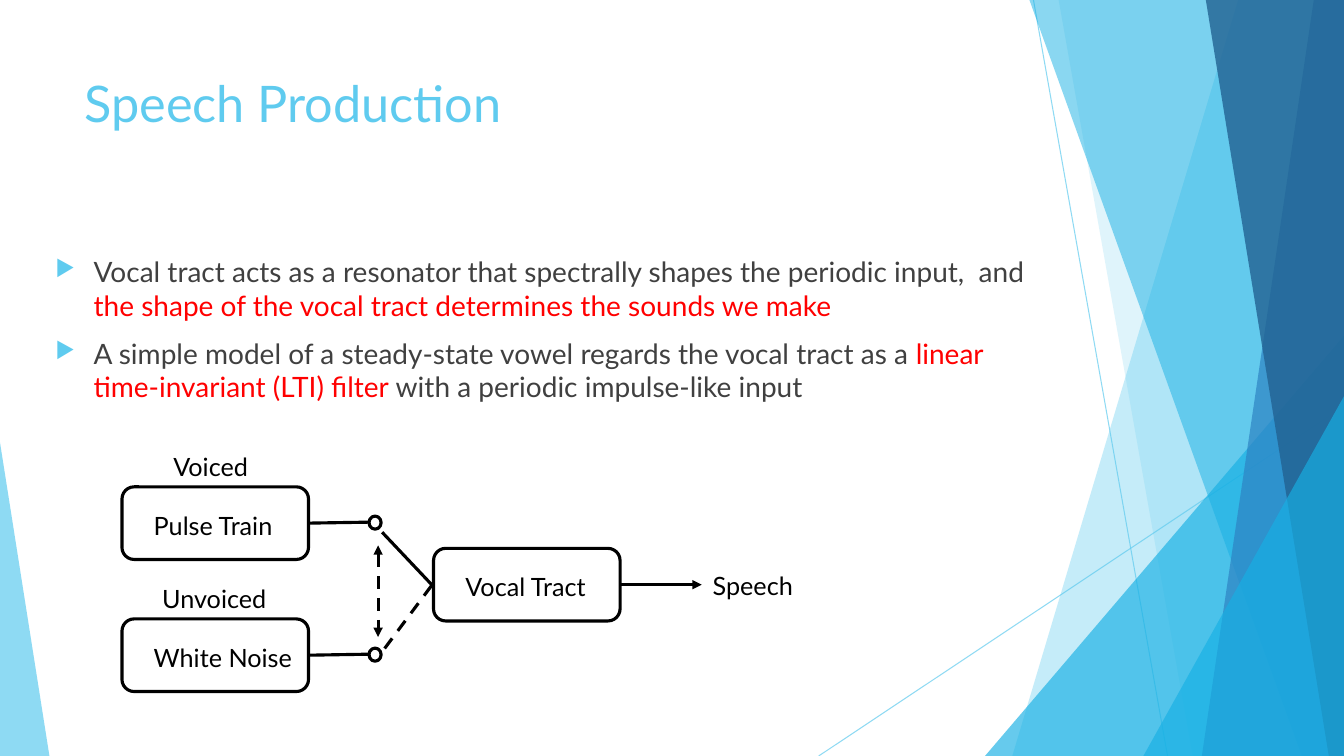
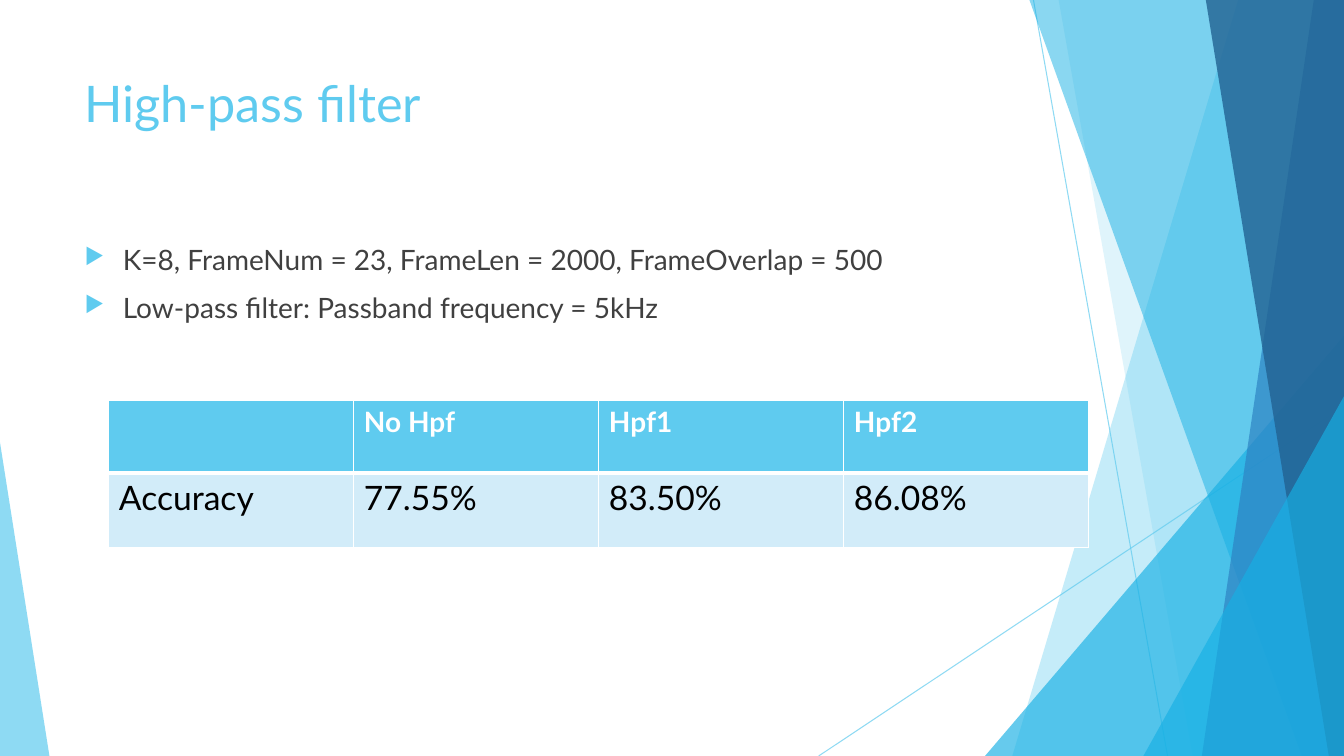
from lxml import etree
from pptx import Presentation
from pptx.dml.color import RGBColor
from pptx.enum import dml, shapes, text
from pptx.oxml.ns import qn
from pptx.util import Inches, Pt

SKY = RGBColor(0x5F, 0xCB, 0xEF)
CYAN = RGBColor(0x17, 0xB0, 0xE4)
BLUE = RGBColor(0x2E, 0x83, 0xC3)
NAVY = RGBColor(0x22, 0x62, 0x92)
PALE = RGBColor(0xD2, 0xEC, 0xF9)
GREY = RGBColor(0x40, 0x40, 0x40)
RED = RGBColor(0xFF, 0x00, 0x00)
BLACK = RGBColor(0x00, 0x00, 0x00)
WHITE = RGBColor(0xFF, 0xFF, 0xFF)

FONT = "Lato"
WIDTH, HEIGHT = 13.33, 7.5
LINE_WIDTH = 2.25


def child(parent, tag, **attributes):
    return etree.SubElement(parent, qn(tag), attributes)


def set_opacity(shape, percent):
    for color in shape.element.iter(qn("a:srgbClr")):
        child(color, "a:alpha", val=str(percent * 1000))


def set_font(paragraph, size, color, bold=False):
    font = paragraph.font
    font.name, font.size, font.bold = FONT, Pt(size), bold
    font.color.rgb = color


def add_line(slide, start, end, color=BLACK, width=LINE_WIDTH, opacity=None,
             dashed=False, arrows=()):
    """Draw a straight line; arrows lists its ends: "head" (start), "tail" (end)."""
    ends = [Inches(v) for v in (*start, *end)]
    line = slide.shapes.add_connector(shapes.MSO_CONNECTOR.STRAIGHT, *ends)
    line.line.color.rgb = color
    line.line.width = Pt(width)
    if dashed:
        line.line.dash_style = dml.MSO_LINE.DASH
    if opacity:
        set_opacity(line, opacity)
    stroke = line.element.spPr.find(qn("a:ln"))
    for end_name in arrows:
        child(stroke, f"a:{end_name}End", type="triangle")
    child(line.element.spPr, "a:effectLst")


def fill_facet(facet, color, opacity):
    facet.shadow.inherit = False
    facet.fill.solid()
    facet.fill.fore_color.rgb = color
    facet.line.fill.background()
    set_opacity(facet, opacity)


def add_band(slide, top_x, bottom_x, color, opacity):
    """Fill from a slanted left edge to the right edge of the slide."""
    corners = [(WIDTH, 0), (WIDTH, HEIGHT), (bottom_x, HEIGHT)]
    builder = slide.shapes.build_freeform(Inches(top_x), 0)
    builder.add_line_segments([(Inches(x), Inches(y)) for x, y in corners])
    fill_facet(builder.convert_to_shape(), color, opacity)


def add_corner(slide, left, top, right, apex, color, opacity):
    """Draw a triangle standing on the bottom edge; apex is 0 (left) to 1 (right)."""
    corner = slide.shapes.add_shape(
        shapes.MSO_SHAPE.ISOSCELES_TRIANGLE, Inches(left), Inches(top),
        Inches(right - left), Inches(HEIGHT - top))
    corner.adjustments[0] = apex
    fill_facet(corner, color, opacity)


def add_backdrop(slide):
    add_line(slide, (10.25, 0), (11.58, HEIGHT), SKY, 0.75, 70)
    add_line(slide, (WIDTH, 4.03), (8.12, HEIGHT), SKY, 0.75, 70)
    add_band(slide, 12.28, 10.04, SKY, 36)
    add_band(slide, 10.5, 11.83, SKY, 20)
    add_corner(slide, 9.77, 3.33, WIDTH, 1, CYAN, 66)
    add_band(slide, 10.21, 12.91, CYAN, 50)
    add_band(slide, 13.03, 11.92, BLUE, 70)
    add_band(slide, 11.96, 13.18, NAVY, 80)
    add_corner(slide, 11.34, 3.93, WIDTH, 1, CYAN, 66)
    add_corner(slide, 0, 4.39, 0.49, 0, SKY, 70)


def add_text_frame(slide, left, top, width, height):
    box = slide.shapes.add_textbox(
        Inches(left), Inches(top), Inches(width), Inches(height))
    box.text_frame.word_wrap = True
    return box.text_frame


def add_text(slide, wording, left, top, width, height=0.4, size=18, color=BLACK):
    paragraph = add_text_frame(slide, left, top, width, height).paragraphs[0]
    paragraph.text = wording
    set_font(paragraph, size, color)


def add_titled_slide(deck, title):
    slide = deck.slides.add_slide(deck.slide_layouts[6])
    add_backdrop(slide)
    add_text(slide, title, 0.74, 0.67, 9.4, 1.44, 36, SKY)
    return slide


def add_bullets(slide, items, left, top, width):
    """Add bulleted items, each a list of (wording, color) runs."""
    frame = add_text_frame(slide, left, top, width, 4.24)
    for number, runs in enumerate(items):
        paragraph = frame.add_paragraph() if number else frame.paragraphs[0]
        if number:
            paragraph.space_before = Pt(10)
        properties = paragraph._p.get_or_add_pPr()
        properties.set("marL", str(Inches(0.38)))
        properties.set("indent", str(-Inches(0.38)))
        child(child(properties, "a:buClr"), "a:srgbClr", val=str(SKY))
        child(properties, "a:buSzPct", val="80000")
        child(properties, "a:buChar", char="▶")
        set_font(paragraph, 20, GREY)
        for wording, color in runs:
            run = paragraph.add_run()
            run.text = wording
            if color != GREY:
                run.font.color.rgb = color


def add_outline(slide, kind, left, top, width, height):
    outline = slide.shapes.add_shape(
        kind, Inches(left), Inches(top), Inches(width), Inches(height))
    outline.shadow.inherit = False
    outline.fill.background()
    outline.line.color.rgb = BLACK
    outline.line.width = Pt(LINE_WIDTH)
    return outline


def add_block(slide, wording, left, top):
    block = add_outline(slide, shapes.MSO_SHAPE.ROUNDED_RECTANGLE,
                        left, top, 1.85, 0.72)
    frame = block.text_frame
    frame.word_wrap = True
    frame.vertical_anchor = text.MSO_ANCHOR.MIDDLE
    frame.margin_left, frame.margin_right = Inches(0.28), 0
    frame.margin_top, frame.margin_bottom = Inches(0.04), 0
    paragraph = frame.paragraphs[0]
    paragraph.text = wording
    paragraph.alignment = text.PP_ALIGN.LEFT
    set_font(paragraph, 18, BLACK)


def add_speech_model(slide):
    sources = [("Voiced", 1.62, "Pulse Train", 4.83),
               ("Unvoiced", 1.51, "White Noise", 6.14)]
    for kind, kind_left, source, top in sources:
        add_text(slide, kind, kind_left, top - 0.4, 1.25)
        add_block(slide, source, 1.21, top)
        add_line(slide, (3.06, top + 0.36), (3.67, top + 0.35))
        add_outline(slide, shapes.MSO_SHAPE.OVAL, 3.66, top + 0.29, 0.12, 0.13)
    add_block(slide, "Vocal Tract", 4.3, 5.44)
    add_line(slide, (4.3, 5.82), (3.79, 5.28))
    add_line(slide, (4.28, 5.81), (3.81, 6.44), dashed=True)
    add_line(slide, (3.75, 5.41), (3.75, 6.32), dashed=True, arrows=("head", "tail"))
    add_line(slide, (6.15, 5.8), (6.96, 5.8), arrows=("tail",))
    add_text(slide, "Speech", 6.97, 5.61, 1.06)


def set_borders(cell, **widths):
    """Set white borders; call after the cell's fill, which must follow them."""
    properties = cell._tc.get_or_add_tcPr()
    for position, side in enumerate("LRTB"):
        border = etree.Element(qn(f"a:ln{side}"), w=str(Pt(widths.get(side, 1))))
        child(child(border, "a:solidFill"), "a:srgbClr", val=str(WHITE))
        properties.insert(position, border)


def add_accuracy_table(slide):
    rows = [["", "No Hpf", "Hpf1", "Hpf2"],
            ["Accuracy", "77.55%", "83.50%", "86.08%"]]
    table = slide.shapes.add_table(
        2, 4, Inches(1.08), Inches(3.97), Inches(9.72), Inches(1.46)).table
    table.rows[0].height, table.rows[1].height = Inches(0.72), Inches(0.74)
    styles = [(SKY, 20, WHITE, True, {"B": 3}), (PALE, 24, BLACK, False, {"T": 3})]
    for r, (row, style) in enumerate(zip(rows, styles)):
        background, size, color, bold, borders = style
        for c, wording in enumerate(row):
            cell = table.cell(r, c)
            cell.text = wording
            cell.fill.solid()
            cell.fill.fore_color.rgb = background
            set_borders(cell, **borders)
            set_font(cell.text_frame.paragraphs[0], size, color, bold)


def main():
    deck = Presentation()
    deck.slide_width, deck.slide_height = Inches(WIDTH), Inches(HEIGHT)

    production = add_titled_slide(deck, "Speech Production")
    add_bullets(production, [
        [("Vocal tract acts as a resonator that spectrally shapes the periodic "
          "input,  and ", GREY),
         ("the shape of the vocal tract determines the sounds we make", RED)],
        [("A simple model of a steady-state vowel regards the vocal tract as a ", GREY),
         ("linear time-invariant (LTI) filter ", RED),
         ("with a periodic impulse-like input", GREY)],
    ], 0.45, 2.48, 9.98)
    add_speech_model(production)

    high_pass = add_titled_slide(deck, "High-pass filter")
    add_bullets(high_pass, [
        [("K=8, FrameNum = 23, FrameLen = 2000, FrameOverlap = 500", GREY)],
        [("Low-pass filter: Passband frequency = 5kHz", GREY)],
    ], 0.74, 2.36, 9.4)
    add_accuracy_table(high_pass)

    deck.save("out.pptx")


if __name__ == "__main__":
    main()
